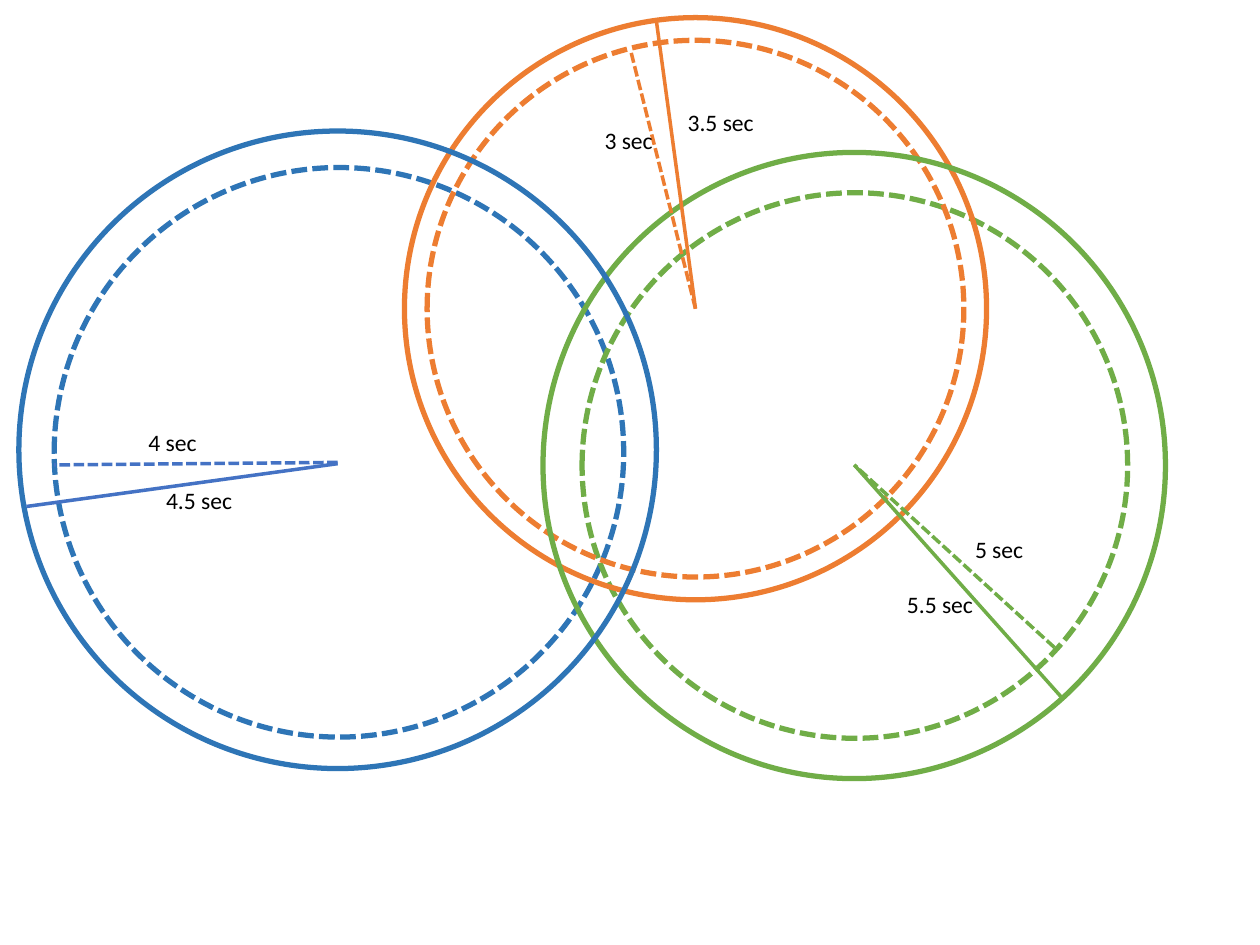
from dataclasses import dataclass

from lxml import etree
from pptx import Presentation
from pptx.dml.color import RGBColor
from pptx.enum import dml, shapes, text
from pptx.oxml import ns
from pptx.util import Inches, Pt

COLORS = {
    "blue": "2E75B6",
    "indigo": "4472C4",
    "orange": "ED7D31",
    "green": "70AD47",
    "black": "000000",
}


@dataclass
class Circle:
    left: float
    top: float
    width: float
    height: float
    color: str
    dashed: bool = False


@dataclass
class Radius:
    start: tuple[float, float]
    end: tuple[float, float]
    color: str
    label: str
    label_left: float
    label_top: float
    dashed: bool = False


CIRCLES = [
    Circle(0.43, 1.33, 4.52, 4.52, "blue", dashed=True),
    Circle(4.62, 1.53, 4.33, 4.33, "green", dashed=True),
    Circle(3.39, 0.32, 4.26, 4.26, "orange", dashed=True),
    Circle(3.21, 0.14, 4.62, 4.62, "orange"),
    Circle(4.31, 1.21, 4.94, 4.97, "green"),
    Circle(0.15, 1.04, 5.06, 5.06, "blue"),
]

RADII = [
    Radius((2.68, 3.67), (0.43, 3.69), "indigo", "4 sec", 1.08, 3.35, dashed=True),
    Radius((2.68, 3.68), (0.21, 4.02), "indigo", "4.5 sec", 1.22, 3.81),
    Radius((5.52, 2.45), (5.01, 0.42), "orange", "3 sec", 4.7, 0.95, dashed=True),
    Radius((5.52, 2.45), (5.21, 0.17), "orange", "3.5 sec", 5.36, 0.81),
    Radius((8.43, 5.54), (6.78, 3.69), "green", "5.5 sec", 7.1, 4.63),
    Radius((8.37, 5.14), (6.78, 3.69), "green", "5 sec", 7.64, 4.2, dashed=True),
]


def rgb(name: str) -> RGBColor:
    return RGBColor.from_string(COLORS[name])


def style_line(line, color: str, width: float, dashed: bool) -> None:
    line.color.rgb = rgb(color)
    line.width = Pt(width)
    if dashed:
        line.dash_style = dml.MSO_LINE.SQUARE_DOT


def draw_circle(slide, circle: Circle) -> None:
    shape = slide.shapes.add_shape(
        shapes.MSO_SHAPE.OVAL,
        Inches(circle.left), Inches(circle.top),
        Inches(circle.width), Inches(circle.height),
    )
    shape.shadow.inherit = False
    shape.fill.background()
    style_line(shape.line, circle.color, 3, circle.dashed)


def draw_label(slide, radius: Radius) -> None:
    box = slide.shapes.add_textbox(
        Inches(radius.label_left), Inches(radius.label_top), Inches(0.83), Inches(0.33)
    )
    frame = box.text_frame
    frame.word_wrap = True
    frame.auto_size = text.MSO_AUTO_SIZE.SHAPE_TO_FIT_TEXT
    paragraph = frame.paragraphs[0]
    paragraph.text = radius.label
    paragraph.font.name = "Calibri"
    paragraph.font.size = Pt(13.5)
    paragraph.font.color.rgb = rgb("black")


def draw_radius(slide, radius: Radius) -> None:
    connector = slide.shapes.add_connector(
        shapes.MSO_CONNECTOR.STRAIGHT,
        *(Inches(value) for value in radius.start + radius.end),
    )
    style_line(connector.line, radius.color, 2, radius.dashed)
    etree.SubElement(connector._element.spPr, ns.qn("a:effectLst"))
    draw_label(slide, radius)


def main() -> None:
    presentation = Presentation()
    presentation.slide_width = Inches(10)
    presentation.slide_height = Inches(7.5)
    slide = presentation.slides.add_slide(presentation.slide_layouts[6])
    for circle in CIRCLES:
        draw_circle(slide, circle)
    for radius in RADII:
        draw_radius(slide, radius)
    presentation.save("out.pptx")


if __name__ == "__main__":
    main()
